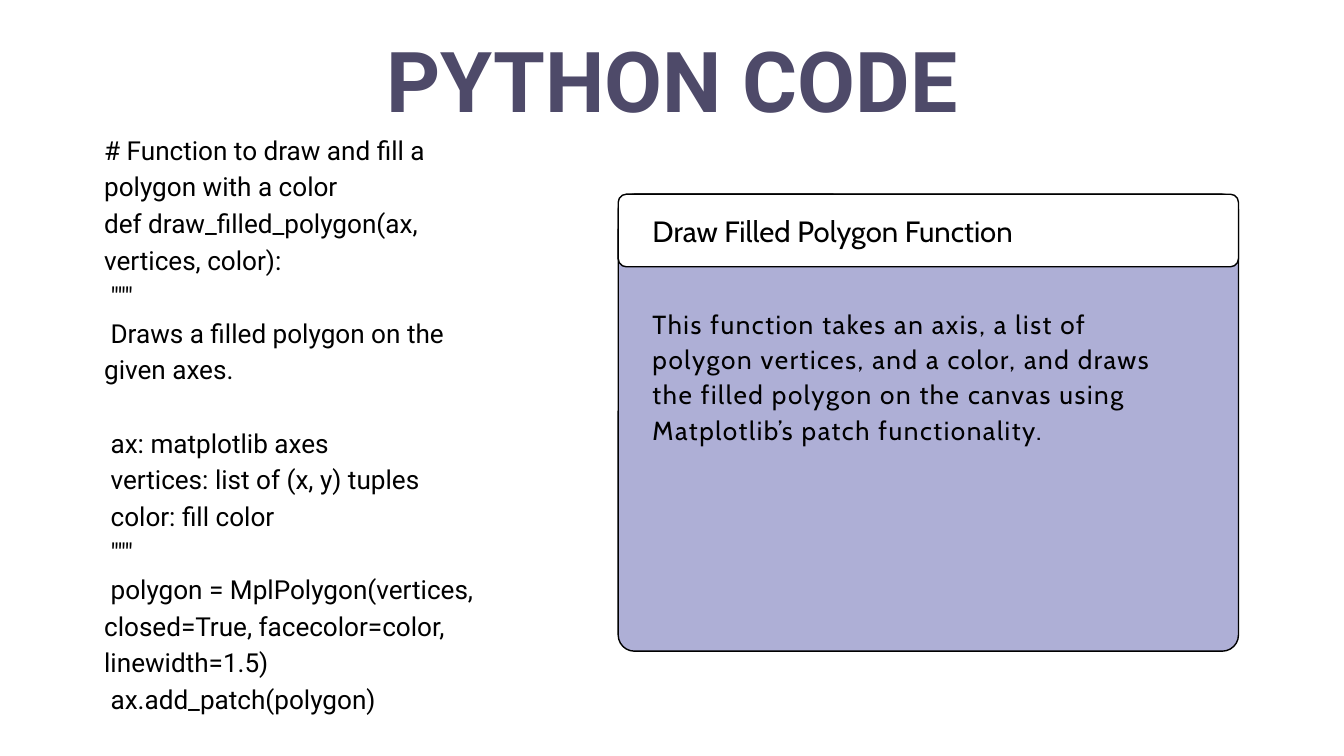
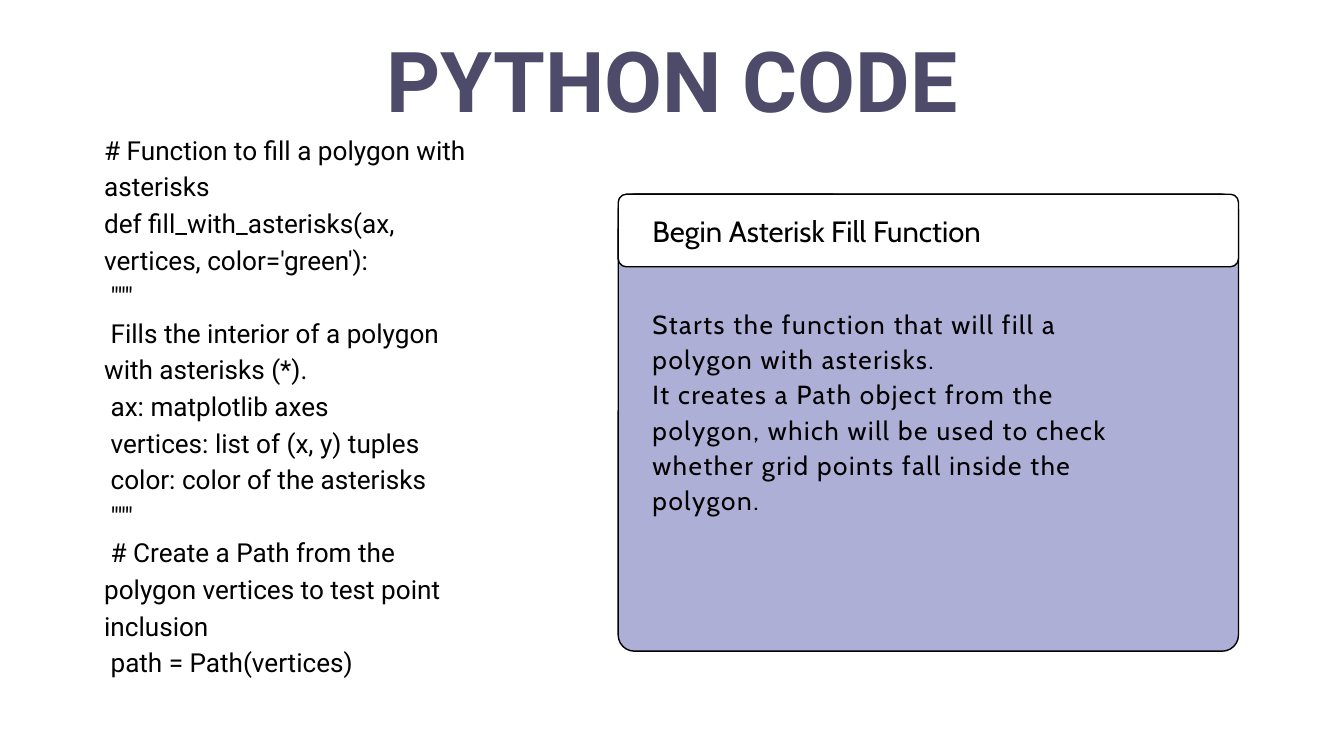
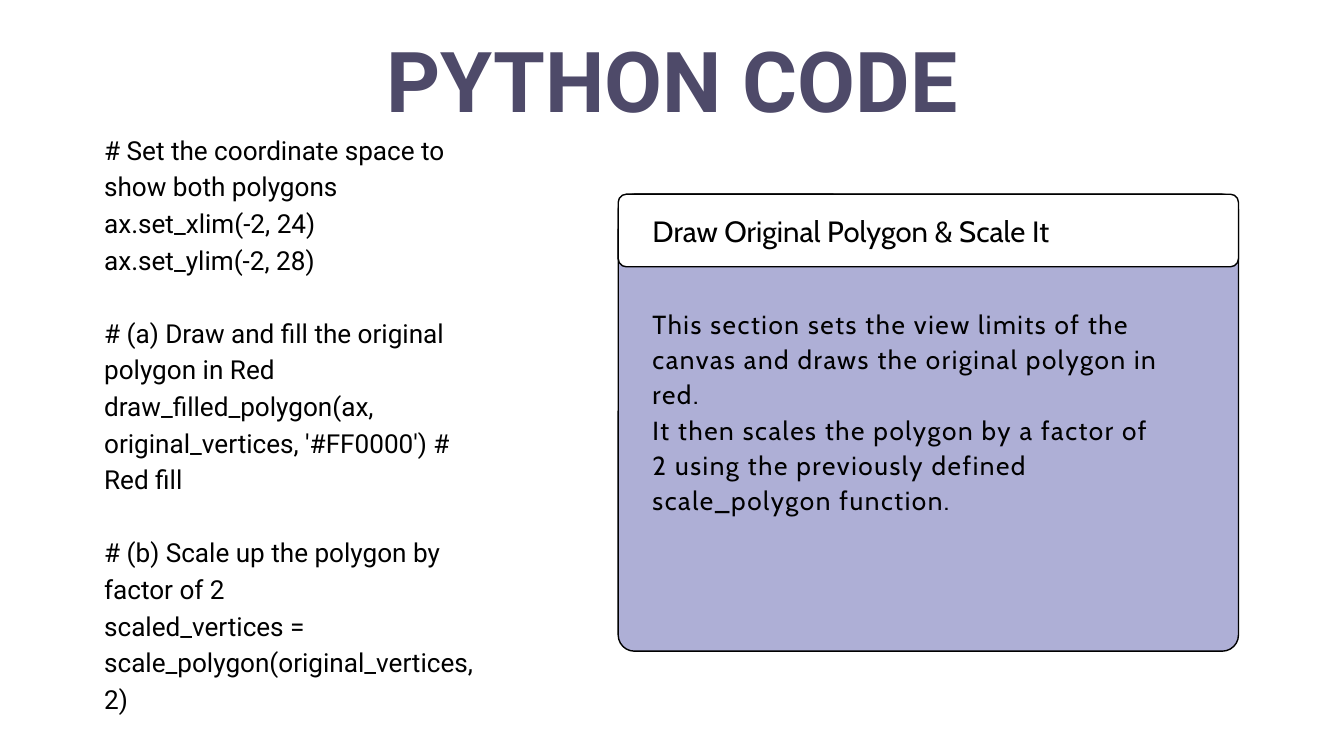
from pptx import Presentation
from pptx import util as u
from pptx.dml.color import RGBColor
from pptx.enum import shapes, text

BLACK = RGBColor(0x00, 0x00, 0x00)
WHITE = RGBColor(0xFF, 0xFF, 0xFF)
LILAC = RGBColor(0xAE, 0xAF, 0xD6)
PLUM = RGBColor(0x4E, 0x4A, 0x69)

CELL = u.Inches(0.25)  # the slide is a grid of 80 columns by 45 rows
COLS, ROWS = 80, 45

# Boxes are left, top, width, height in cells
TITLE = (19.4, 0.68, 41.24, 6.84)
CODE = (6.2, 7.68, 22.36, 36.84)
CARD = (36.8, 11.56, 36.92, 27.2)
BAR = 4.32  # rows taken by the card's heading bar
PAD = 2.04  # columns between the card's edge and its text

SLIDES = [
    {
        "code": [
            [
                "# Function to draw and fill a polygon with a color",
                "def draw_filled_polygon(ax, vertices, color):",
                ' """',
                " Draws a filled polygon on the given axes.",
            ],
            [
                " ax: matplotlib axes",
                " vertices: list of (x, y) tuples",
                " color: fill color",
                ' """',
                " polygon = MplPolygon(vertices, closed=True, facecolor=color, linewidth=1.5)",
                " ax.add_patch(polygon)",
            ],
        ],
        "head": "Draw Filled Polygon Function",
        "body": [
            "This function takes an axis, a list of polygon vertices, and a color, "
            "and draws the filled polygon on the canvas using Matplotlib’s patch functionality.",
        ],
    },
    {
        "code": [
            [
                "# Function to fill a polygon with asterisks",
                "def fill_with_asterisks(ax, vertices, color='green'):",
                ' """',
                " Fills the interior of a polygon with asterisks (*).",
                " ax: matplotlib axes",
                " vertices: list of (x, y) tuples",
                " color: color of the asterisks",
                ' """',
                " # Create a Path from the polygon vertices to test point inclusion",
                " path = Path(vertices)",
            ],
        ],
        "head": "Begin Asterisk Fill Function",
        "body": [
            "Starts the function that will fill a polygon with asterisks.",
            "It creates a Path object from the polygon, which will be used to check "
            "whether grid points fall inside the polygon.",
        ],
    },
    {
        "code": [
            [
                "# Set the coordinate space to show both polygons",
                "ax.set_xlim(-2, 24)",
                "ax.set_ylim(-2, 28)",
            ],
            [
                "# (a) Draw and fill the original polygon in Red",
                "draw_filled_polygon(ax, original_vertices, '#FF0000') # Red fill",
            ],
            [
                "# (b) Scale up the polygon by factor of 2",
                "scaled_vertices = scale_polygon(original_vertices, 2)",
            ],
        ],
        "head": "Draw Original Polygon & Scale It",
        "body": [
            "This section sets the view limits of the canvas and draws the original polygon in red.",
            "It then scales the polygon by a factor of 2 using the previously defined "
            "scale_polygon function.",
        ],
    },
]


def cells(*box):
    return [round(n * CELL) for n in box]


def write(shape, groups, face, size, lead, color=BLACK, bold=False,
          align=text.PP_ALIGN.LEFT, track=0):
    """Fill a shape with groups of lines, one line's height apart; track is in points."""
    frame = shape.text_frame
    frame.word_wrap = True
    frame.auto_size = text.MSO_AUTO_SIZE.NONE
    frame.vertical_anchor = text.MSO_ANCHOR.TOP
    frame.margin_left = frame.margin_top = frame.margin_right = frame.margin_bottom = 0
    frame.text = "\n".join(line for group in groups for line in group)
    paras = iter(frame.paragraphs)
    for g, group in enumerate(groups):
        for n, para in zip(range(len(group)), paras_of(paras, len(group))):
            para.alignment = align
            para.line_spacing = u.Pt(lead)
            para.space_before = u.Pt(lead if g and not n else 0)
            font = para.font
            font.name, font.size, font.bold = face, u.Pt(size), bold
            font.color.rgb = color
            if track:
                for run in para.runs:
                    run._r.get_or_add_rPr().set("spc", str(round(track * 100)))


def paras_of(paras, count):
    return [next(paras) for _ in range(count)]


def panel(slide, box, radius, fill):
    """Draw an outlined rounded box, its corner radius in cells."""
    shape = slide.shapes.add_shape(shapes.MSO_SHAPE.ROUNDED_RECTANGLE, *cells(*box))
    shape.adjustments[0] = radius / min(box[2:])
    shape.shadow.inherit = False
    shape.fill.solid()
    shape.fill.fore_color.rgb = fill
    shape.line.color.rgb = BLACK
    shape.line.width = u.Pt(1.5)


def title(slide, box):
    shape = slide.shapes.title
    shape.left, shape.top, shape.width, shape.height = cells(*box)
    write(shape, [["PYTHON CODE"]], "Roboto", 90, 126, PLUM, True, text.PP_ALIGN.CENTER)


def code(slide, box, groups):
    write(slide.shapes.add_textbox(*cells(*box)), groups, "Roboto", 28, 39.2)


def card(slide, box, head, body):
    x, y, w, h = box
    panel(slide, box, 0.96, LILAC)
    panel(slide, (x, y, w, BAR), 0.48, WHITE)
    name = slide.shapes.add_textbox(*cells(x + PAD, y + 1.2, w - 1.8 * PAD, PAD))
    write(name, [[head]], "Cabin", 31.4, 36.7)
    note = slide.shapes.add_textbox(*cells(x + PAD, y + 6.56, 30.24, 12.44))
    write(note, [body], "Cabin", 28, 37.8, track=1.7)


def main():
    deck = Presentation()
    deck.slide_width, deck.slide_height = cells(COLS, ROWS)
    for part in SLIDES:
        slide = deck.slides.add_slide(deck.slide_layouts[5])
        title(slide, TITLE)
        code(slide, CODE, part["code"])
        card(slide, CARD, part["head"], part["body"])
    deck.save("out.pptx")


if __name__ == "__main__":
    main()
